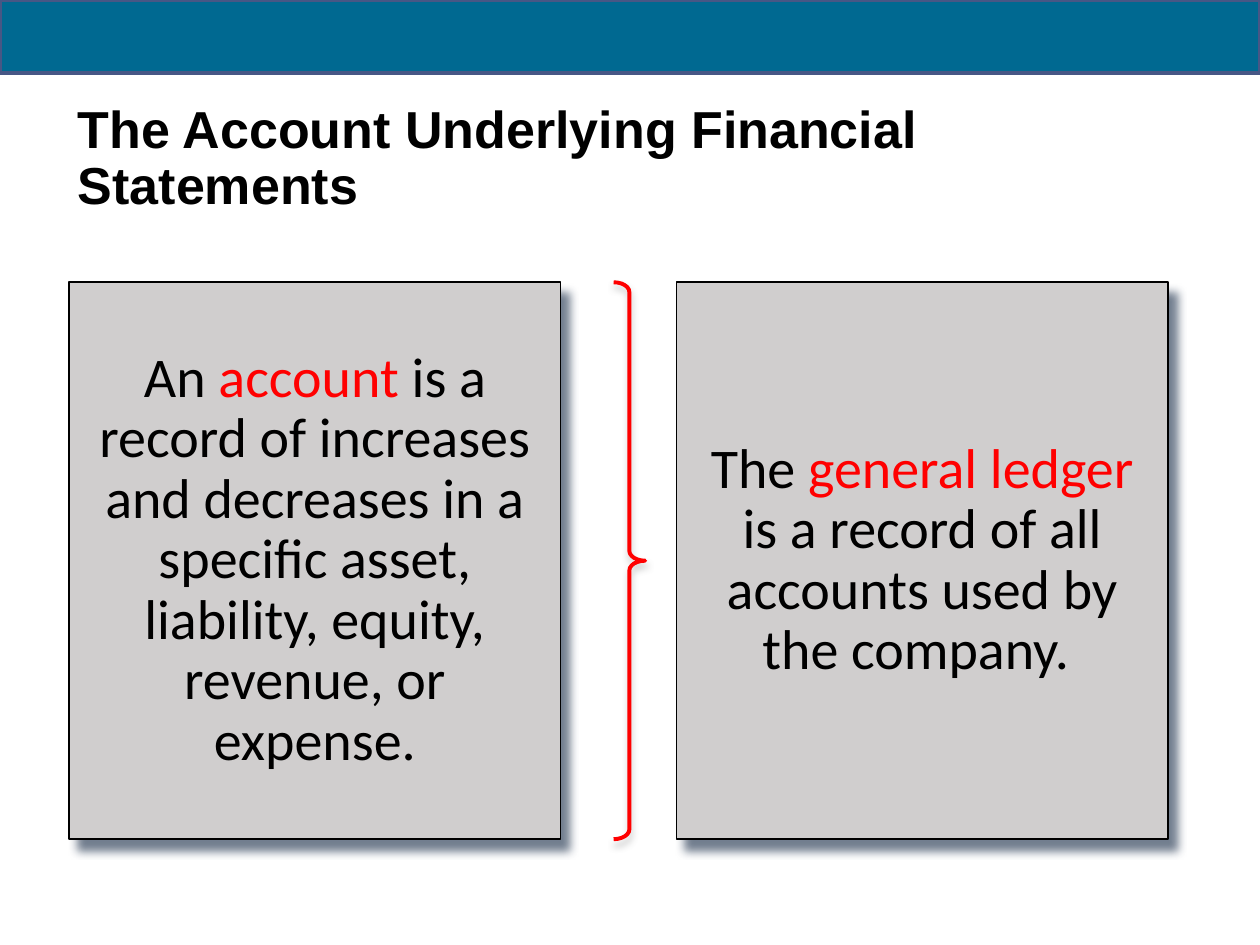
from typing import NamedTuple

from lxml import etree
from pptx import Presentation
from pptx.dml.color import RGBColor
from pptx.enum.shapes import MSO_SHAPE as SHAPE
from pptx.enum.text import MSO_ANCHOR as ANCHOR, PP_ALIGN as ALIGN
from pptx.oxml.ns import qn
from pptx.util import Inches, Pt

BLACK, RED = "000000", "FF0000"
PANEL_TOP, PANEL_W, PANEL_H = 2.24, 3.9, 4.42


class Shadow(NamedTuple):
    color: str
    alpha: int
    blur: float
    distance: float
    angle: int


class Panel(NamedTuple):
    left: float
    before: str
    term: str
    after: str


PANEL_SHADOW = Shadow("44546A", 75, 5, 7.8, 50)
BRACE_SHADOW = Shadow("808080", 40, 4, 3, 90)
PANELS = [
    Panel(0.55, "An ", "account",
          " is a record of increases and decreases in a specific asset, "
          "liability, equity, revenue, or expense."),
    Panel(5.37, "The ", "general ledger",
          " is a record of all accounts used by the company. "),
]


def rgb(color: str) -> RGBColor:
    return RGBColor.from_string(color)


def add_shadow(sp, shadow: Shadow) -> None:
    effects = sp._element.spPr.find(qn("a:effectLst"))
    outer = etree.SubElement(
        effects, qn("a:outerShdw"), blurRad=str(Pt(shadow.blur)),
        dist=str(Pt(shadow.distance)), dir=str(shadow.angle * 60000),
        algn="ctr", rotWithShape="0")
    color = etree.SubElement(outer, qn("a:srgbClr"), val=shadow.color)
    etree.SubElement(color, qn("a:alpha"), val=str(shadow.alpha * 1000))


def add_outlined(s, kind, box: tuple, fill: str | None, line: str, width: float):
    sp = s.shapes.add_shape(kind, *map(Inches, box))
    sp.shadow.inherit = False
    if fill:
        sp.fill.solid()
        sp.fill.fore_color.rgb = rgb(fill)
    else:
        sp.fill.background()
    sp.line.color.rgb = rgb(line)
    sp.line.width = Pt(width)
    return sp


def add_run(p, text: str, font: str, size: float, color: str, bold: bool = False) -> None:
    r = p.add_run()
    r.text = text
    r.font.name, r.font.size, r.font.bold = font, Pt(size), bold
    r.font.color.rgb = rgb(color)


def start_text(sp, align):
    """Set up a wrapped, vertically centred frame and return its paragraph."""
    tf = sp.text_frame
    tf.word_wrap = True
    tf.vertical_anchor = ANCHOR.MIDDLE
    p = tf.paragraphs[0]
    p.alignment = align
    p.line_spacing = 0.9
    return p


def add_panel(s, panel: Panel) -> None:
    sp = add_outlined(s, SHAPE.RECTANGLE, (panel.left, PANEL_TOP, PANEL_W, PANEL_H),
                      "D0CECE", BLACK, 1)
    add_shadow(sp, PANEL_SHADOW)
    p = start_text(sp, ALIGN.CENTER)
    for text, color in ((panel.before, BLACK), (panel.term, RED), (panel.after, BLACK)):
        add_run(p, text, "Calibri", 32, color)


def main() -> None:
    prs = Presentation()
    prs.slide_width, prs.slide_height = Inches(10), Inches(7.5)
    s = prs.slides.add_slide(prs.slide_layouts[6])

    add_outlined(s, SHAPE.RECTANGLE, (0, 0, 10, 0.58), "006991", "475785", 2.25)

    title = s.shapes.add_textbox(*map(Inches, (0.52, 0.75, 9.03, 1.03)))
    add_run(start_text(title, ALIGN.LEFT), "The Account Underlying Financial Statements",
            "Arial", 29.7, BLACK, bold=True)

    for panel in PANELS:
        add_panel(s, panel)

    brace = add_outlined(s, SHAPE.RIGHT_BRACE, (4.87, PANEL_TOP, 0.25, PANEL_H),
                         None, RED, 2.25)
    brace.adjustments[0] = 0.31
    add_shadow(brace, BRACE_SHADOW)

    prs.save("out.pptx")


if __name__ == "__main__":
    main()
